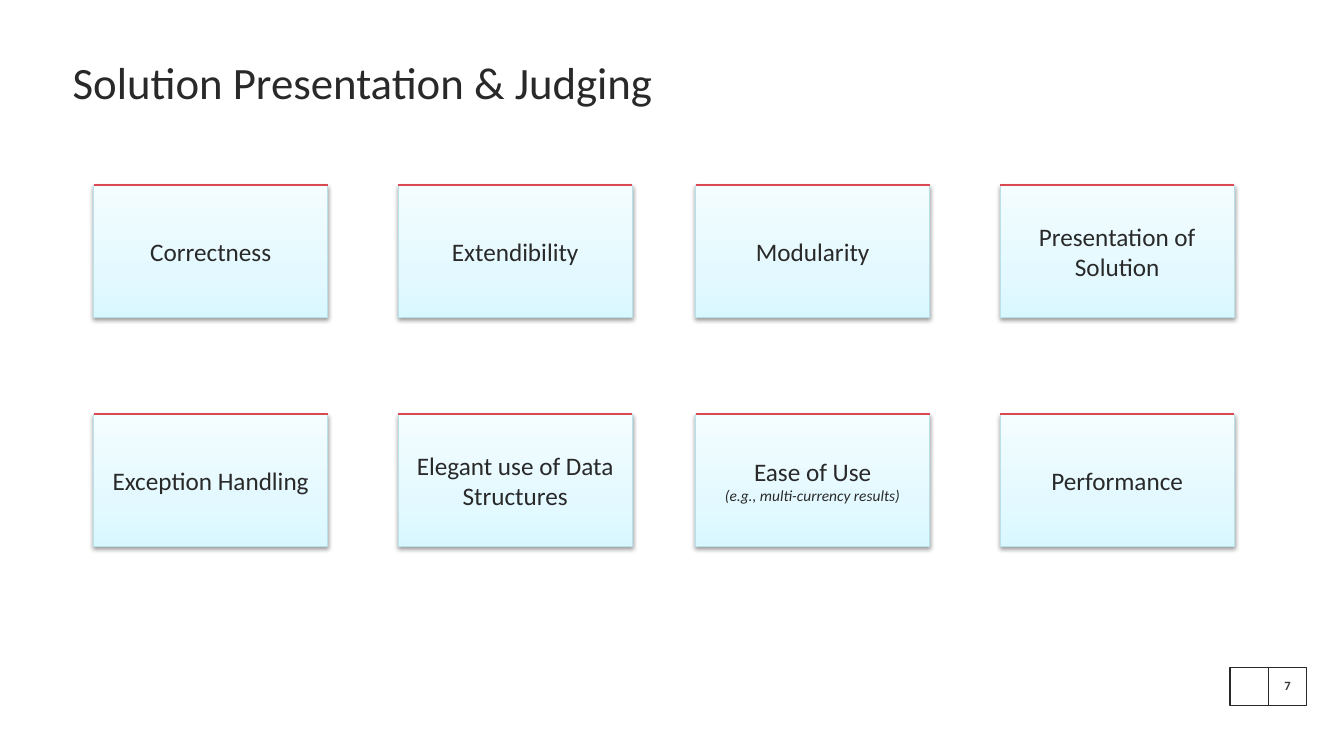
import copy
from dataclasses import dataclass

import pptx
import pptx.dml.color
import pptx.enum.shapes
import pptx.enum.text
import pptx.oxml
import pptx.oxml.ns
import pptx.util

Inches, Pt = pptx.util.Inches, pptx.util.Pt
ALIGN, ANCHOR = pptx.enum.text.PP_ALIGN, pptx.enum.text.MSO_ANCHOR
RECTANGLE = pptx.enum.shapes.MSO_SHAPE.RECTANGLE
STRAIGHT = pptx.enum.shapes.MSO_CONNECTOR.STRAIGHT


@dataclass(frozen=True)
class Theme:
    font: str = "Calibri"
    ink: str = "292929"
    number: str = "3A3A3A"
    accent: str = "DA4952"
    card_line: str = "B8E1EB"
    card_stops: tuple = ((0, "D9F7FF"), (0.35, "E4F9FF"), (1, "F4FDFF"))
    title_size: float = 32
    card_size: float = 18
    note_size: float = 11
    number_size: float = 9


THEME = Theme()

# Card grid, in inches
COLUMNS = (0.93, 3.95, 6.9, 9.92)
ROWS = (1.84, 4.11)
CARD_WIDTH, CARD_HEIGHT = 2.32, 1.31
CRITERIA = (
    (("Correctness",), ("Extendibility",), ("Modularity",),
     ("Presentation of Solution",)),
    (("Exception Handling",), ("Elegant use of Data Structures",),
     ("Ease of Use", "(e.g., multi-currency results)"), ("Performance",)),
)

# Page number boxes, in inches
NUMBER_LEFT, NUMBER_TOP, NUMBER_SIDE = 12.2, 6.62, 0.38

SHADOW = (
    f'<a:outerShdw {pptx.oxml.ns.nsdecls("a")} blurRad="40000" dist="20000" '
    'dir="5400000" rotWithShape="0"><a:srgbClr val="000000">'
    '<a:alpha val="38000"/></a:srgbClr></a:outerShdw>'
)


def rgb(value):
    return pptx.dml.color.RGBColor.from_string(value)


def write(paragraph, text, size=THEME.card_size, color=THEME.ink, bold=False,
          italic=False, align=ALIGN.CENTER, spacing=None):
    paragraph.alignment = align
    paragraph.line_spacing = spacing
    run = paragraph.add_run()
    run.text = text
    run.font.name = THEME.font
    run.font.size = Pt(size)
    run.font.color.rgb = rgb(color)
    run.font.bold, run.font.italic = bold, italic


def set_frame(frame, anchor, margin=None):
    frame.word_wrap = True
    frame.vertical_anchor = anchor
    if margin is not None:
        frame.margin_left = frame.margin_right = margin
        frame.margin_top = frame.margin_bottom = margin


def add_box(slide, left, top, width, height, line, weight):
    box = slide.shapes.add_shape(RECTANGLE, Inches(left), Inches(top),
                                 Inches(width), Inches(height))
    box.shadow.inherit = False
    box.fill.background()
    box.line.color.rgb = rgb(line)
    box.line.width = Pt(weight)
    return box


def fill_gradient(shape, stops):
    shape.fill.gradient()
    shape.fill.gradient_angle = 90
    stop_list = shape.element.spPr.find(".//" + pptx.oxml.ns.qn("a:gsLst"))
    while len(stop_list) < len(stops):
        stop_list.append(copy.deepcopy(stop_list[0]))
    for stop, (position, color) in zip(shape.fill.gradient_stops, stops):
        stop.position = position
        stop.color.rgb = rgb(color)


def add_accent(slide, left, top, width):
    accent = slide.shapes.add_connector(STRAIGHT, Inches(left), Inches(top),
                                        Inches(left + width), Inches(top))
    accent.line.color.rgb = rgb(THEME.accent)
    accent.line.width = Pt(1.5)
    pptx.oxml.ns.qn("a:effectLst")
    accent.element.spPr.append(pptx.oxml.parse_xml(
        f'<a:effectLst {pptx.oxml.ns.nsdecls("a")}/>'))


def add_card(slide, left, top, heading, note=None):
    card = add_box(slide, left, top, CARD_WIDTH, CARD_HEIGHT,
                   THEME.card_line, 0.75)
    fill_gradient(card, THEME.card_stops)
    effects = card.element.spPr.find(pptx.oxml.ns.qn("a:effectLst"))
    effects.append(pptx.oxml.parse_xml(SHADOW))
    frame = card.text_frame
    set_frame(frame, ANCHOR.MIDDLE)
    write(frame.paragraphs[0], heading)
    if note:
        write(frame.add_paragraph(), note, size=THEME.note_size, italic=True)
    add_accent(slide, left, top, CARD_WIDTH)


def add_title(slide, text):
    title = slide.shapes.title
    title.left, title.top = Inches(0.72), Inches(0.6)
    title.width, title.height = Inches(12), Inches(0.57)
    set_frame(title.text_frame, ANCHOR.TOP, margin=0)
    write(title.text_frame.paragraphs[0], text, size=THEME.title_size,
          align=ALIGN.LEFT, spacing=0.9)


def add_page_number(slide, number):
    for index, text in enumerate(("", number)):
        box = add_box(slide, NUMBER_LEFT + index * NUMBER_SIDE, NUMBER_TOP,
                      NUMBER_SIDE, NUMBER_SIDE, THEME.ink, 1)
        if text:
            set_frame(box.text_frame, ANCHOR.MIDDLE, margin=0)
            write(box.text_frame.paragraphs[0], text, size=THEME.number_size,
                  color=THEME.number, bold=True, spacing=0.85)


def main():
    deck = pptx.Presentation()
    deck.slide_width, deck.slide_height = Inches(13.33), Inches(7.5)
    slide = deck.slides.add_slide(deck.slide_layouts.get_by_name("Title Only"))

    add_page_number(slide, "7")
    add_title(slide, "Solution Presentation & Judging")

    # Judging criteria
    for top, criteria in zip(ROWS, CRITERIA):
        for left, criterion in zip(COLUMNS, criteria):
            add_card(slide, left, top, *criterion)

    deck.save("out.pptx")


if __name__ == "__main__":
    main()
